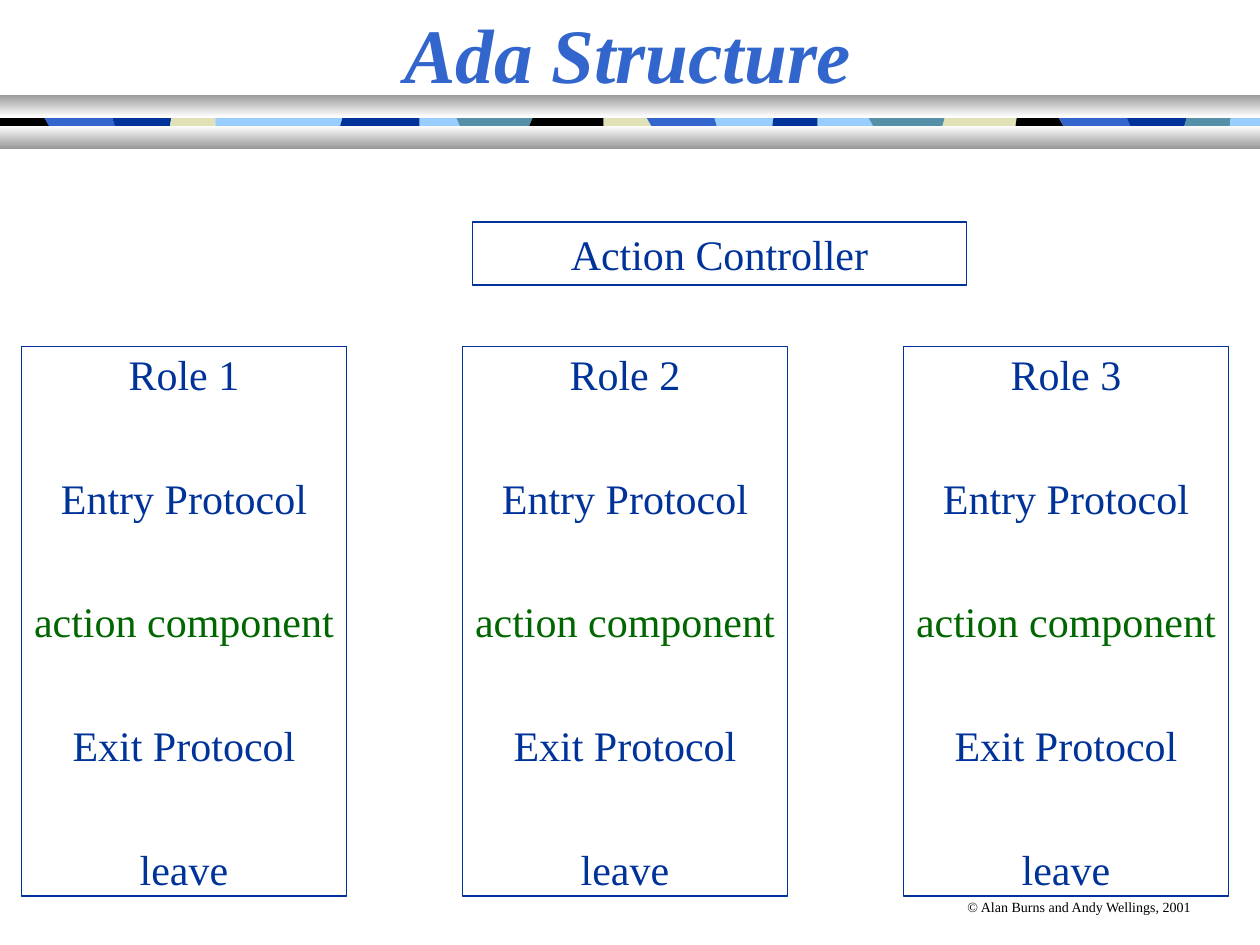
from pptx import Presentation
from pptx import util as u
from pptx.dml.color import RGBColor
from pptx.enum import shapes, text

BLUE, NAVY, LIGHT = "3366CC", "003399", "99CCFF"
TEAL, CREAM, BLACK = "5490A8", "E1E1B7", "000000"
GREEN, GREY, WHITE = "006600", "989898", "FFFFFF"


def hue(code):
    return RGBColor.from_string(code)


class Deck:
    face = "Times New Roman"
    edge = NAVY

    def __init__(self):
        self.show = Presentation()
        self.show.slide_width = u.Inches(10)
        self.show.slide_height = u.Inches(7.5)
        self.page = self.show.slides.add_slide(self.show.slide_layouts[6])

    def rect(self, *box):
        shape = self.page.shapes.add_shape(
            shapes.MSO_SHAPE.RECTANGLE, *map(u.Inches, box))
        shape.shadow.inherit = False
        return shape

    def tile(self, points, color):
        spots = [(u.Inches(x), u.Inches(y)) for x, y in points]
        pen = self.page.shapes.build_freeform(*spots[0])
        pen.add_line_segments(spots[1:], close=True)
        shape = pen.convert_to_shape()
        shape.shadow.inherit = False
        shape.fill.solid()
        shape.fill.fore_color.rgb = hue(color)
        shape.line.fill.background()

    def bar(self, top, colors):
        shape = self.rect(0, top, 10, 0.18)
        shape.line.fill.background()
        shape.fill.gradient()
        shape.fill.gradient_angle = 270
        for stop, place, color in zip(shape.fill.gradient_stops, (0, 1), colors):
            stop.position = place
            stop.color.rgb = hue(color)

    def letter(self, shape, lines, size, align=text.PP_ALIGN.CENTER,
               gap=0, wrap=True, bold=False):
        frame = shape.text_frame
        frame.word_wrap = wrap
        frame.vertical_anchor = text.MSO_ANCHOR.MIDDLE
        for num, (words, color) in enumerate(lines):
            para = frame.add_paragraph() if num else frame.paragraphs[0]
            para.text = words
            para.alignment = align
            para.space_before = u.Pt(gap if num else 0)
            font = para.font
            font.name, font.size = self.face, u.Pt(size)
            font.bold = font.italic = bold
            font.color.rgb = hue(color)

    def label(self, box, words, color, size, **style):
        shape = self.page.shapes.add_textbox(*map(u.Inches, box))
        self.letter(shape, [(words, color)], size, **style)

    def panel(self, box, lines, **style):
        shape = self.rect(*box)
        shape.fill.background()
        shape.line.color.rgb = hue(self.edge)
        shape.line.width = u.Pt(1)
        self.letter(shape, lines, 24, **style)


TILES = [
    (0, 0, BLACK), (0.35, 0.39, BLUE), (0.89, 0.91, NAVY),
    (1.36, 1.35, CREAM), (1.71, 1.71, LIGHT), (2.72, 2.7, NAVY),
    (3.33, 3.33, LIGHT), (3.62, 3.65, TEAL), (4.23, 4.2, BLACK),
    (4.79, 4.79, CREAM), (5.13, 5.17, BLUE), (5.67, 5.69, LIGHT),
    (6.14, 6.13, NAVY), (6.49, 6.49, LIGHT), (6.89, 6.93, TEAL),
    (7.5, 7.48, CREAM), (8.07, 8.06, BLACK), (8.4, 8.44, BLUE),
    (8.94, 8.97, NAVY), (9.42, 9.4, TEAL), (9.77, 9.76, LIGHT),
]
STEPS = [("Entry Protocol", NAVY), ("action component", GREEN),
         ("Exit Protocol", NAVY), ("leave", NAVY)]


def side(high, low):
    return [(high, 0.85), (high, 0.93), (low, 1), (low, 1.13)]


def main():
    deck = Deck()
    ends = TILES[1:] + [(10, 10, None)]
    for (high, low, color), (stop, base, _) in zip(TILES, ends):
        deck.tile(side(high, low) + side(stop, base)[::-1], color)
    deck.bar(0.75, (GREY, WHITE))
    deck.bar(1, (WHITE, GREY))

    deck.label((7.58, 7.08, 2, 0.24), "© Alan Burns and Andy Wellings, 2001",
               BLACK, 8, align=text.PP_ALIGN.LEFT, wrap=False)
    deck.label((0, 0, 9.97, 0.83), "Ada Structure", BLUE, 44, bold=True)
    deck.panel((3.75, 1.76, 3.92, 0.5), [("Action Controller", NAVY)])
    for num in range(3):
        deck.panel((0.17 + 3.5 * num, 2.75, 2.58, 4.36),
                   [(f"Role {num + 1}", NAVY)] + STEPS, gap=42, wrap=False)
    deck.show.save("out.pptx")


if __name__ == "__main__":
    main()
